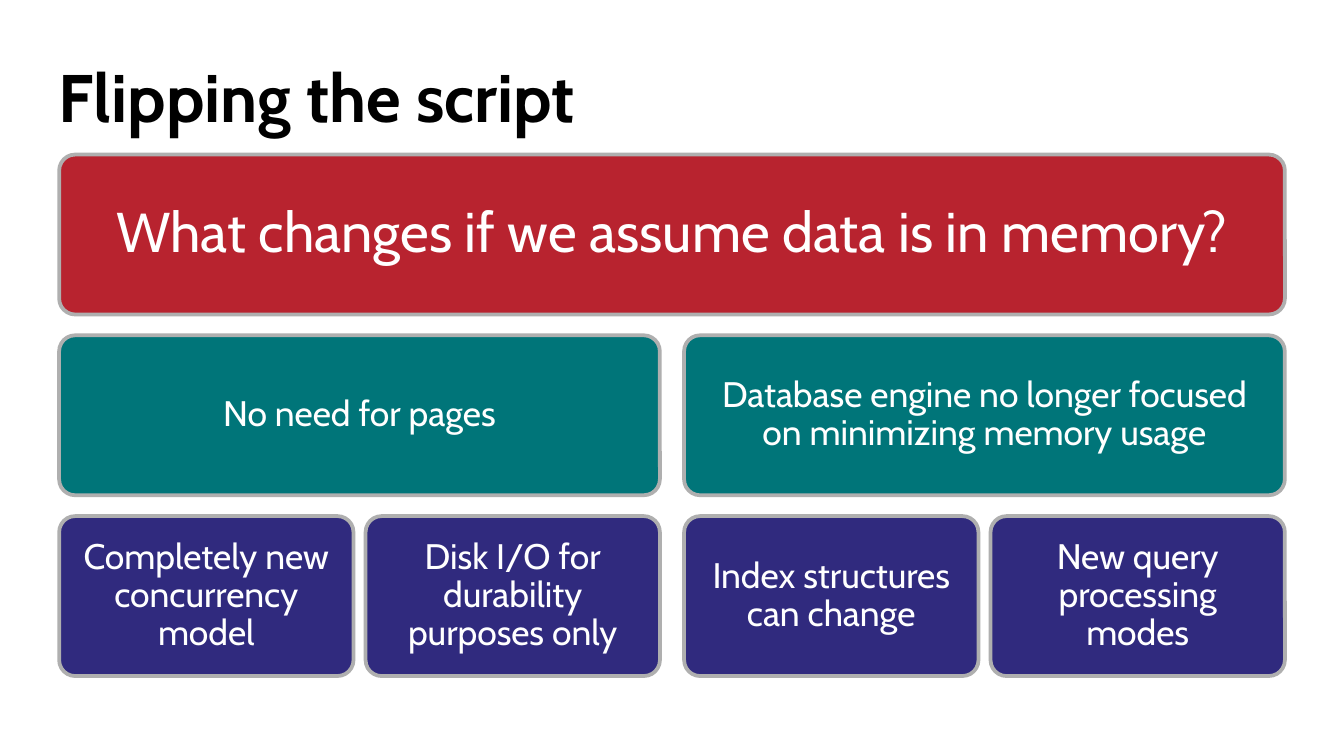
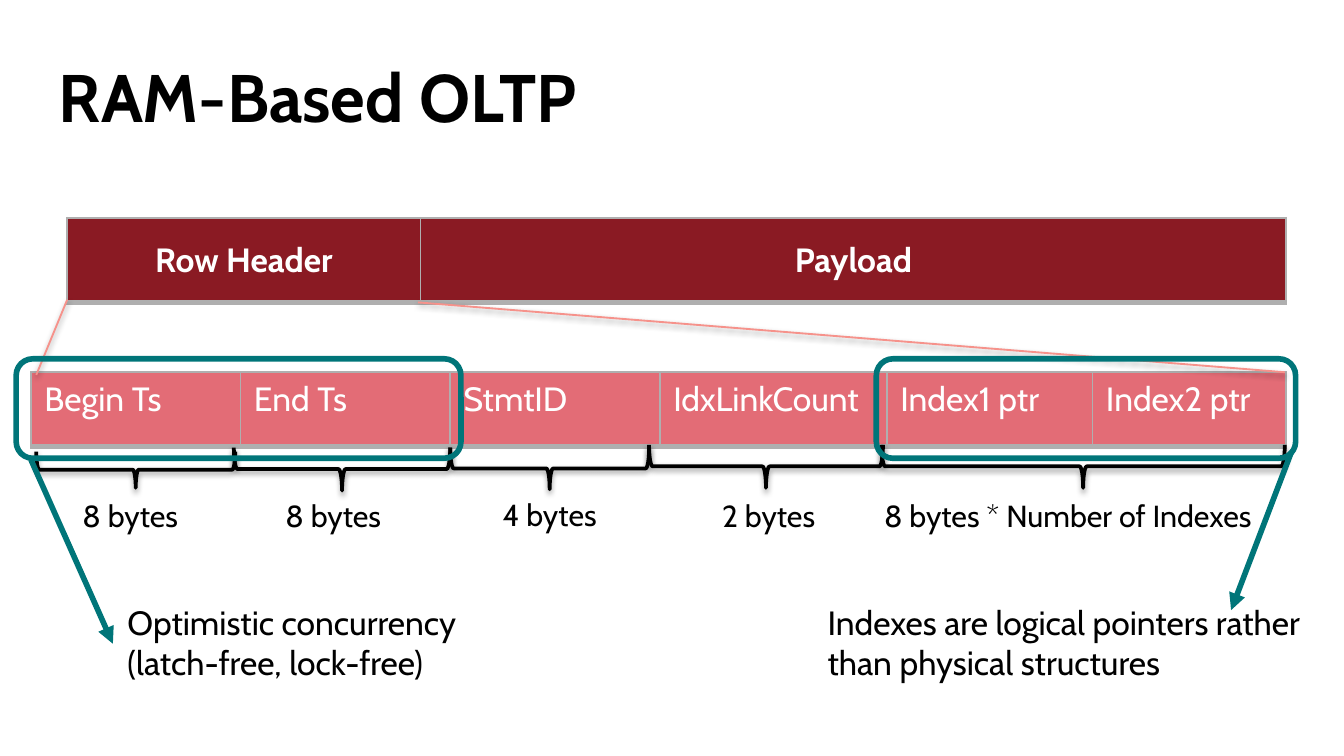
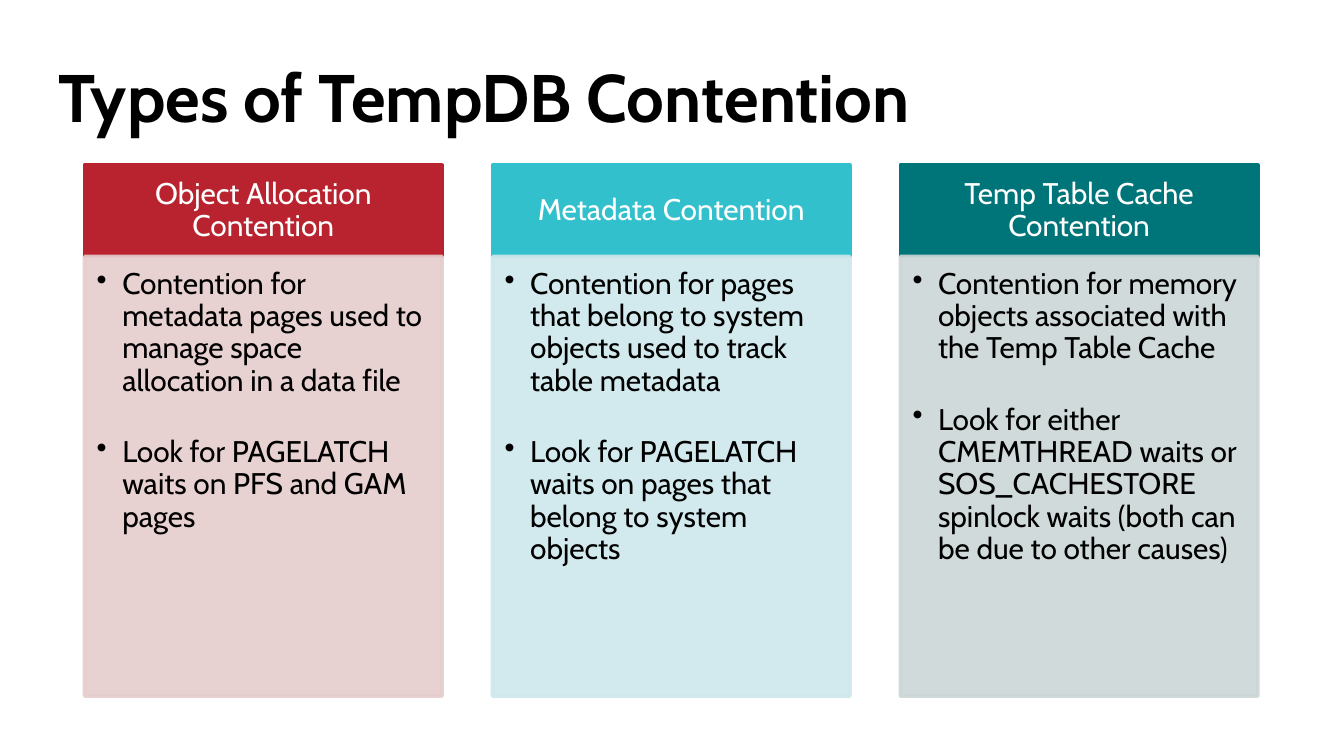
from dataclasses import dataclass

from pptx import Presentation
from pptx.dml.color import RGBColor as RGB
from pptx.enum.shapes import MSO_CONNECTOR as CONN, MSO_SHAPE as SHAPE
from pptx.enum.text import MSO_ANCHOR as ANCHOR, PP_ALIGN as ALIGN
from pptx.oxml import parse_xml
from pptx.oxml.ns import nsdecls, qn
from pptx.util import Pt

PX = 9144
SLIDE_W = 1000


@dataclass(frozen=True)
class Theme:
    font: str = "Cabin"
    black: str = "000000"
    white: str = "FFFFFF"
    red: str = "B8232F"
    dark_red: str = "8A1A23"
    pink: str = "E36C76"
    salmon: str = "F6928B"
    teal: str = "007579"
    cyan: str = "33C0CD"
    indigo: str = "302A7E"
    grey: str = "AFAFAF"
    red_tint: str = "E6CDCD"
    cyan_tint: str = "CEE8ED"
    teal_tint: str = "CCD6D7"
    title_size: float = 36
    question_size: float = 30
    node_size: float = 19
    body_size: float = 18
    byte_size: float = 16.3
    card_size: float = 16


T = Theme()
CENTERED = {"alignment": ALIGN.CENTER}
TIGHT = {"line_spacing": 0.9}


def px(n):
    return round(n * PX)


def box_emu(box):
    return [px(n) for n in box]


def xml(tag, attrs="", inner=""):
    return parse_xml(f"<a:{tag} {nsdecls('a')} {attrs}>{inner}</a:{tag}>")


def apply(target, fmt):
    for name, value in fmt.items():
        setattr(target, name, value)


def set_insets(target, insets):
    sides = ("margin_left", "margin_top", "margin_right", "margin_bottom")
    apply(target, dict(zip(sides, box_emu(insets))))


def write(tf, texts, size, color=T.black, para=None, bold=False, bullet=False):
    for i, text in enumerate(texts):
        p = tf.paragraphs[0] if i == 0 else tf.add_paragraph()
        if bullet:
            pPr = p._p.get_or_add_pPr()
            pPr.set("marL", str(px(19)))
            pPr.set("indent", str(px(-19)))
            pPr.append(xml("buChar", 'char="•"'))
        apply(p, para or {})
        r = p.add_run()
        r.text = text
        apply(r.font, {"name": T.font, "size": Pt(size), "bold": bold})
        r.font.color.rgb = RGB.from_string(color)


def add_text(slide, box, text, size, **fmt):
    tf = slide.shapes.add_textbox(*box_emu(box)).text_frame
    tf.word_wrap = True
    write(tf, [text], size, **fmt)


def set_line(s, color, width):
    s.line.color.rgb = RGB.from_string(color)
    s.line.width = Pt(width)


def set_shadow(s, shown=False):
    spPr = s._element.spPr
    for old in spPr.findall(qn("a:effectLst")):
        spPr.remove(old)
    shade = (
        '<a:outerShdw blurRad="40000" dist="20000" dir="5400000" rotWithShape="0">'
        '<a:srgbClr val="000000"><a:alpha val="38000"/></a:srgbClr></a:outerShdw>'
    )
    spPr.append(xml("effectLst", inner=shade if shown else ""))


def add_shape(slide, kind, box, line, width, fill=None, alpha=None, shadow=False):
    s = slide.shapes.add_shape(kind, *box_emu(box))
    if fill:
        s.fill.solid()
        s.fill.fore_color.rgb = RGB.from_string(fill)
    else:
        s.fill.background()
    set_line(s, line, width)
    if alpha:
        for clr in s._element.spPr.iter(qn("a:srgbClr")):
            clr.append(xml("alpha", f'val="{alpha * 1000}"'))
    set_shadow(s, shadow)
    return s


def add_panel(slide, kind, box, texts, size, insets, anchor=ANCHOR.MIDDLE, look=None, **fmt):
    s = add_shape(slide, kind, box, **look)
    tf = s.text_frame
    apply(tf, {"word_wrap": True, "vertical_anchor": anchor})
    set_insets(tf, insets)
    write(tf, texts, size, **fmt)
    return s


def add_line(slide, start, end, color, width, arrow=False, shadow=False):
    c = slide.shapes.add_connector(CONN.STRAIGHT, *box_emu(start + end))
    set_line(c, color, width)
    if arrow:
        c.line._get_or_add_ln().append(xml("tailEnd", 'type="triangle"'))
    set_shadow(c, shadow)


def add_brace(slide, box):
    x, y, w, h = box
    upright = (x + (w - h) / 2, y + (h - w) / 2, h, w)
    s = add_shape(slide, SHAPE.LEFT_BRACE, upright, T.black, 2, shadow=True)
    s.rotation = 270


def add_row(slide, x, y, widths, h, labels, fill, anchor=ANCHOR.TOP, **fmt):
    box = box_emu((x, y, sum(widths), h))
    table = slide.shapes.add_table(1, len(widths), *box).table
    apply(table, {"first_row": False, "horz_banding": False})
    for col, w in zip(table.columns, widths):
        col.width = px(w)
    for cell, label in zip(table.rows[0].cells, labels):
        cell.vertical_anchor = anchor
        set_insets(cell, (10, 5, 10, 5))
        write(cell.text_frame, [label], T.body_size, color=T.white, **fmt)
        cell.fill.solid()
        cell.fill.fore_color.rgb = RGB.from_string(fill)
        paint = f'<a:solidFill><a:srgbClr val="{T.grey}"/></a:solidFill>'
        for i, (side, width) in enumerate((("L", 1), ("R", 1), ("T", 1), ("B", 3))):
            edge = xml(f"ln{side}", f'w="{Pt(width)}"', paint)
            cell._tc.get_or_add_tcPr().insert(i, edge)


def new_slide(prs, title):
    slide = prs.slides.add_slide(prs.slide_layouts[6])
    add_text(slide, (34, 48, 922, 67), title, T.title_size, bold=True,
             para={"line_spacing": Pt(35)})
    return slide


def draw_tree(slide, box, node, level=0):
    styles = (
        (T.red, T.question_size, 12, 18),
        (T.teal, T.node_size, 8, 9),
        (T.indigo, T.node_size, 8, 0),
    )
    fill, size, inset, gap = styles[level]
    x, y, w, h = box
    node_h, pitch = 119, 134.5
    text, children = node
    s = add_panel(slide, SHAPE.ROUNDED_RECTANGLE, (x, y, w, node_h), [text], size,
                  (inset,) * 4, look={"fill": fill, "line": T.grey, "width": 2},
                  color=T.white, para=CENTERED | TIGHT)
    s.adjustments[0] = 0.1
    for i, child in enumerate(children):
        child_w = (w - gap * (len(children) - 1)) / len(children)
        child_box = (x + i * (child_w + gap), y + pitch, child_w, h - pitch)
        draw_tree(slide, child_box, child, level + 1)


def draw_record(slide, box):
    x, y, w, h = box
    right = x + w
    header_w = 263
    row_x = x + 27
    add_row(slide, row_x, y, (header_w, right - row_x - header_w), 63,
            ("Row Header", "Payload"), T.dark_red, ANCHOR.MIDDLE,
            bold=True, para=CENTERED)
    add_row(slide, x, y + 115, (156, 156, 156, 169, 153, 144), 55,
            ("Begin Ts", "End Ts", "StmtID", "IdxLinkCount", "Index1 ptr", "Index2 ptr"),
            T.pink)
    for start, end in (
        ((row_x, y + 61), (x + 4, y + 117)),
        ((row_x + header_w - 2, y + 63), (right - 1, y + 115)),
    ):
        add_line(slide, start, end, T.salmon, 1, shadow=True)


def draw_field_sizes(slide, box):
    x, y, w, h = box
    fields = (
        ("8 bytes", (4, 5, 148, 27), (0, 34, 148), CENTERED),
        ("8 bytes", (151, 2, 161, 32), (151, 34, 148), CENTERED),
        ("4 bytes", (312, 2, 148, 31), (312, 33, 148), CENTERED),
        ("2 bytes", (460, 0, 174, 32), (475, 34, 148), CENTERED),
        ("8 bytes * Number of Indexes", (633, 0, 300, 32), (625, 34, 317), {}),
    )
    for text, (bx, by, bw, bh), (tx, ty, tw), para in fields:
        add_brace(slide, (x + bx, y + by, bw, bh))
        add_text(slide, (x + tx, y + ty, tw, 38), text, T.byte_size, para=para)


def draw_callout(slide, box, note_x, note_w, note, start, end):
    x, y, w, h = box
    add_shape(slide, SHAPE.ROUNDED_RECTANGLE, box, T.teal, 3)
    add_text(slide, (x + note_x, y + 176, note_w, 71), note, T.body_size)
    start, end = ((x + dx, y + dy) for dx, dy in (start, end))
    add_line(slide, start, end, T.teal, 3, arrow=True)


def draw_card(slide, box, heading, points, fill, tint):
    x, y, w, h = box
    head_h = 68
    add_panel(slide, SHAPE.RECTANGLE, (x, y, w, head_h), [heading], T.card_size,
              (12, 7, 12, 7), look={"fill": fill, "line": fill, "width": 2},
              color=T.white, para=CENTERED | TIGHT)
    add_panel(slide, SHAPE.RECTANGLE, (x, y + head_h, w, h - head_h), points,
              T.card_size, (9, 9, 12, 14), ANCHOR.TOP,
              look={"fill": tint, "line": tint, "width": 2, "alpha": 90},
              para=TIGHT | {"alignment": ALIGN.LEFT, "space_after": Pt(21)}, bullet=True)


def script_slide(prs):
    slide = new_slide(prs, "Flipping the script")
    tree = ("What changes if we assume data is in memory?", (
        ("No need for pages", (
            ("Completely new concurrency model", ()),
            ("Disk I/O for durability purposes only", ()),
        )),
        ("Database engine no longer focused on minimizing memory usage", (
            ("Index structures can change", ()),
            ("New query processing modes", ()),
        )),
    ))
    draw_tree(slide, (44, 115, 912, 388), tree)


def memory_slide(prs):
    slide = new_slide(prs, "RAM-Based OLTP")
    draw_record(slide, (23, 162, 934, 170))
    draw_field_sizes(slide, (23, 331, 942, 72))
    draw_callout(slide, (12, 267, 331, 74), 73, 309,
                 "Optimistic concurrency (latch-free, lock-free)", (11, 75), (72, 212))
    draw_callout(slide, (652, 267, 312, 74), -46, 391,
                 "Indexes are logical pointers rather than physical structures",
                 (309, 69), (264, 187))


def contention_slide(prs):
    slide = new_slide(prs, "Types of TempDB Contention")
    cards = (
        ("Object Allocation Contention",
         ("Contention for metadata pages used to manage space allocation in a data file",
          "Look for PAGELATCH waits on PFS and GAM pages"),
         T.red, T.red_tint),
        ("Metadata Contention",
         ("Contention for pages that belong to system objects used to track table metadata",
          "Look for PAGELATCH waits on pages that belong to system objects"),
         T.cyan, T.cyan_tint),
        ("Temp Table Cache Contention",
         ("Contention for memory objects associated with the Temp Table Cache",
          "Look for either CMEMTHREAD waits or SOS_CACHESTORE spinlock waits "
          "(both can be due to other causes)"),
         T.teal, T.teal_tint),
    )
    x, y, w, h = 63, 123, 873, 395
    card_w = 266
    pitch = (w - card_w) / (len(cards) - 1)
    for i, card in enumerate(cards):
        draw_card(slide, (x + i * pitch, y, card_w, h), *card)


def main():
    prs = Presentation()
    apply(prs, {"slide_width": px(SLIDE_W), "slide_height": px(SLIDE_W * 9 / 16)})
    for build in (script_slide, memory_slide, contention_slide):
        build(prs)
    prs.save("out.pptx")


if __name__ == "__main__":
    main()
